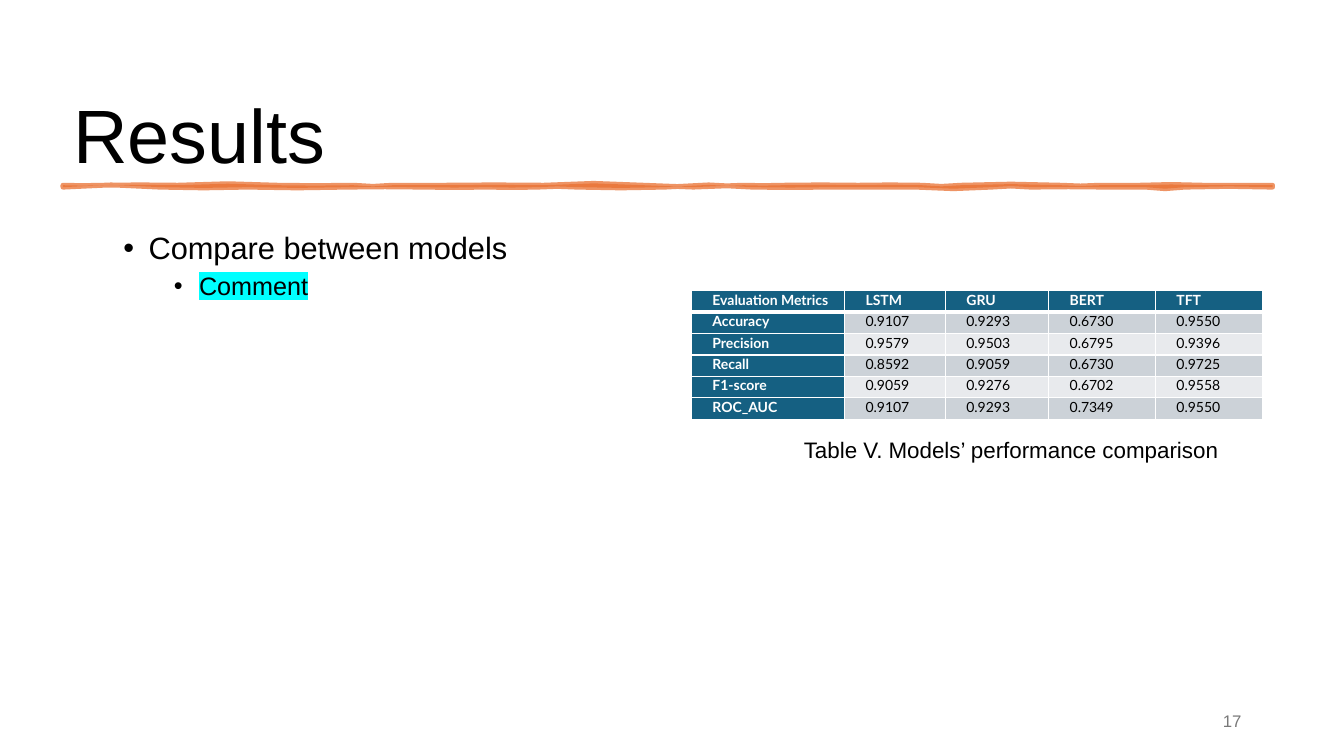
from dataclasses import dataclass

from lxml import etree
from pptx import Presentation
from pptx import util as u
from pptx.dml.color import RGBColor
from pptx.enum import text
from pptx.oxml.ns import qn

Pt = u.Pt


@dataclass(frozen=True)
class Theme:
    ink: str = "000000"
    paper: str = "FFFFFF"
    accent: str = "E97132"
    muted: str = "797979"
    marker: str = "00FFFF"
    header: str = "156082"
    bands: tuple = ("CCD2D8", "E8EAED")
    font: str = "Arial"
    table_font: str = "Lato"
    title: float = 54
    bullet: float = 22
    sub_bullet: float = 18
    caption: float = 16
    number: float = 12
    cell: float = 10


THEME = Theme()

UPPER_BENDS = [
    (13, 0, 1), (25, -2, 1), (33, -1, -3), (25, 3, -2), (13, 2, 1), (17, -1, 1),
    (33, -1, 0), (33, 0, -5), (33, 5, 0), (13, 0, 1), (25, -1, 0), (21, 0, -1),
    (13, 1, 2), (33, -2, -1), (13, 1, 1), (13, -1, 1), (21, -1, -1), (23, 1, -1),
]
LOWER_BENDS = [
    (29, 1, -3), (13, 3, 1), (13, -1, 1), (25, -2, 1), (13, -1, -2), (25, 2, 2),
    (29, -2, 2), (25, -2, 3), (29, -3, -3), (29, 2, 0), (13, 0, -2), (17, 2, -1),
    (21, 1, 0), (25, 0, -1), (33, 1, 1), (29, -1, 3), (32, -4, -2),
]

METRICS = [
    ["Evaluation Metrics", "LSTM", "GRU", "BERT", "TFT"],
    ["Accuracy", "0.9107", "0.9293", "0.6730", "0.9550"],
    ["Precision", "0.9579", "0.9503", "0.6795", "0.9396"],
    ["Recall", "0.8592", "0.9059", "0.6730", "0.9725"],
    ["F1-score", "0.9059", "0.9276", "0.6702", "0.9558"],
    ["ROC_AUC", "0.9107", "0.9293", "0.7349", "0.9550"],
]


def style_para(para, size, color, font=THEME.font, bold=False, spacing=None, indent=None):
    para.line_spacing = spacing
    if indent is not None:
        properties = para._p.get_or_add_pPr()
        properties.set("marL", "0")
        properties.set("indent", str(Pt(indent)))
    for span in para.runs:
        span.font.size = Pt(size)
        span.font.name = font
        span.font.bold = bold
        span.font.color.rgb = RGBColor.from_string(color)


def add_text(page, box, words):
    frame = page.shapes.add_textbox(*map(Pt, box)).text_frame
    frame.word_wrap = True
    frame.text = words
    return frame


def add_title(page, box):
    title = page.shapes.title
    title.left, title.top, title.width, title.height = map(Pt, box)
    frame = title.text_frame
    frame.text = "Results"
    frame.auto_size = text.MSO_AUTO_SIZE.NONE
    frame.vertical_anchor = text.MSO_ANCHOR.BOTTOM
    frame.paragraphs[0].alignment = text.PP_ALIGN.LEFT
    style_para(frame.paragraphs[0], THEME.title, THEME.ink, spacing=0.9)


def wavy_edge(x, y, step, bends):
    points = []
    for length, first, second in bends:
        points.append((Pt(x + length * step / 2), Pt(y + (first + second) * 0.27)))
        x += length * step
        points.append((Pt(x), Pt(y)))
    return points


def set_brush(paint):
    paint.solid()
    paint.fore_color.rgb = RGBColor.from_string(THEME.accent)
    color = paint._xPr.find(qn("a:solidFill"))[0]
    etree.SubElement(color, qn("a:alpha"), val="75000")


def add_underline(page, box):
    left, top, width, height = box
    step = width / 400
    builder = page.shapes.build_freeform(Pt(left), Pt(top))
    edge = wavy_edge(left, top, step, UPPER_BENDS)
    edge += [(Pt(left + width), Pt(top + height))]
    edge += wavy_edge(left + width, top + height, -step, LOWER_BENDS)
    builder.add_line_segments(edge, close=True)
    stroke = builder.convert_to_shape()
    stroke.shadow.inherit = False
    stroke.line.width = Pt(3.5)
    set_brush(stroke.fill)
    set_brush(stroke.line.fill)


def add_bullets(page, box):
    frame = add_text(page, box, "Compare between models\nComment")
    levels = [(1, 54, THEME.bullet), (2, 90, THEME.sub_bullet)]
    for para, (level, margin, size) in zip(frame.paragraphs, levels):
        para.level = level
        para.space_before = Pt(5)
        style_para(para, size, THEME.ink, spacing=0.9, indent=-18)
        properties = para._p.get_or_add_pPr()
        properties.set("marL", str(Pt(margin)))
        etree.SubElement(properties, qn("a:buFont"), typeface=THEME.font)
        etree.SubElement(properties, qn("a:buChar"), char="•")
    run_properties = frame.paragraphs[1].runs[0]._r.get_or_add_rPr()
    highlight = etree.Element(qn("a:highlight"))
    etree.SubElement(highlight, qn("a:srgbClr"), val=THEME.marker)
    run_properties.find(qn("a:solidFill")).addnext(highlight)


def set_borders(cell, widths):
    properties = cell._tc.get_or_add_tcPr()
    for index, (side, width) in enumerate(widths.items()):
        border = etree.Element(qn("a:" + side), w=str(Pt(width)))
        fill = etree.SubElement(border, qn("a:solidFill"))
        etree.SubElement(fill, qn("a:srgbClr"), val=THEME.paper)
        properties.insert(index, border)


def add_metrics(page, box):
    table = page.shapes.add_table(len(METRICS), len(METRICS[0]), *map(Pt, box)).table
    for column, width in zip(table.columns, (109.4, 72, 73.8, 76.3, 76.3)):
        column.width = Pt(width)
    for row_index, values in enumerate(METRICS):
        table.rows[row_index].height = Pt(box[3] / len(METRICS))
        for column_index, value in enumerate(values):
            heading = row_index == 0 or column_index == 0
            cell = table.cell(row_index, column_index)
            cell.text = value
            cell.margin_left = cell.margin_right = Pt(5)
            cell.margin_top = cell.margin_bottom = 0
            cell.fill.solid()
            color = THEME.header if heading else THEME.bands[(row_index - 1) % 2]
            cell.fill.fore_color.rgb = RGBColor.from_string(color)
            para = cell.text_frame.paragraphs[0]
            para.alignment = text.PP_ALIGN.JUSTIFY
            style_para(para, THEME.cell, THEME.paper if heading else THEME.ink,
                       THEME.table_font, heading, 1.05, 10)
            set_borders(cell, {"lnL": 1, "lnR": 1, "lnT": 3 if row_index == 1 else 1,
                               "lnB": 3 if row_index == 0 else 1})


def add_caption(page, box):
    para = add_text(page, box, "Table V. Models’ performance comparison").paragraphs[0]
    para.alignment = text.PP_ALIGN.CENTER
    style_para(para, THEME.caption, THEME.ink, spacing=1.05, indent=10)


def add_number(page, box):
    frame = add_text(page, box, "17")
    frame.vertical_anchor = text.MSO_ANCHOR.MIDDLE
    frame.paragraphs[0].alignment = text.PP_ALIGN.RIGHT
    style_para(frame.paragraphs[0], THEME.number, THEME.muted)


def main():
    deck = Presentation()
    deck.slide_width, deck.slide_height = Pt(960), Pt(540)
    page = deck.slides.add_slide(deck.slide_layouts[5])
    add_title(page, (45.2, 19.2, 867.6, 113))
    add_underline(page, (45, 132.3, 864, 1.4))
    add_bullets(page, (45.1, 163, 528.5, 324))
    add_number(page, (677.9, 500.4, 216, 28.8))
    add_metrics(page, (493.9, 207.7, 407.6, 91.8))
    add_caption(page, (477.1, 307.4, 480.2, 26))
    deck.save("out.pptx")


if __name__ == "__main__":
    main()
